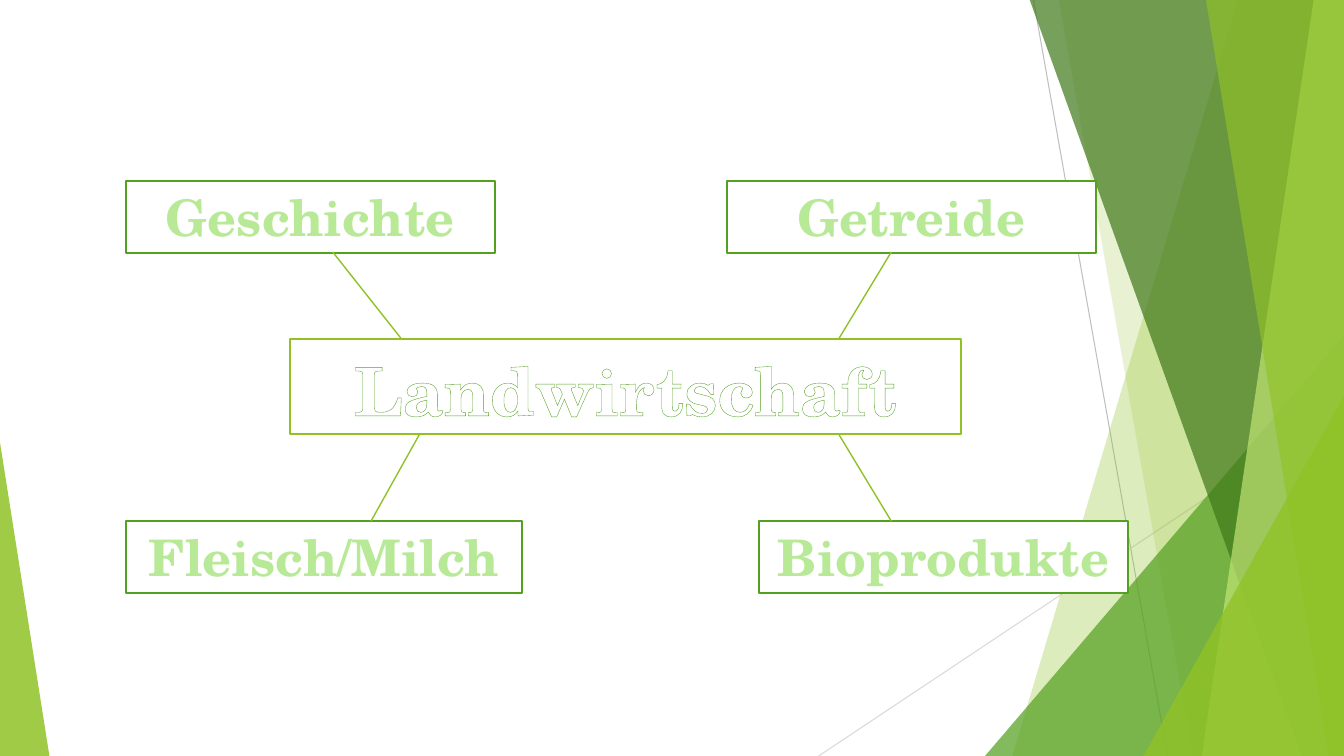
from lxml.etree import SubElement
from pptx import Presentation
from pptx.dml.color import RGBColor
from pptx.enum.shapes import MSO_CONNECTOR, MSO_SHAPE
from pptx.enum.text import MSO_ANCHOR, MSO_AUTO_SIZE, PP_ALIGN
from pptx.oxml import parse_xml
from pptx.oxml.ns import nsdecls, qn
from pptx.util import Inches, Pt


def paint(fill, color, alpha=100):
    fill.solid()
    fill.fore_color.rgb = RGBColor.from_string(color)
    if alpha < 100:
        clr = fill._xPr.find(qn("a:solidFill"))[0]
        SubElement(clr, qn("a:alpha")).set("val", str(alpha * 1000))


def label(sp, text, border, size, color, outline):
    paint(sp.fill, "FFFFFF")
    paint(sp.line.fill, border)
    sp.line.width = Pt(1.5)
    tf = sp.text_frame
    tf.text = text
    tf.word_wrap = True
    p = tf.paragraphs[0]
    p.alignment = PP_ALIGN.CENTER
    r = p.runs[0]
    r.font.name = "TeX Gyre Schola"
    r.font.size = Pt(size)
    r.font.bold = True
    paint(r.font.fill, color)
    r.font._element.insert(0, parse_xml(
        f'<a:ln {nsdecls("a")} w="{Pt(outline)}"><a:solidFill>'
        '<a:srgbClr val="54A021"/></a:solidFill></a:ln>'))


prs = Presentation()
prs.slide_width, prs.slide_height = Inches(13.33), Inches(7.5)
s = prs.slides.add_slide(prs.slide_layouts[5])

thin_lines = [
    (10.25, 0, 11.58, 7.5, "BFBFBF", 0.75),
    (13.33, 4.03, 8.12, 7.5, "D9D9D9", 0.75),
]
branches = [
    (3.3, 2.5, 3.98, 3.36, "90C226", 1),
    (8.32, 3.36, 8.84, 2.5, "90C226", 1),
    (8.32, 4.31, 8.84, 5.17, "90C226", 1),
    (4.16, 4.31, 3.68, 5.17, "90C226", 1),
]
bands = [
    (12.28, 10.04, "90C226", 30),
    (10.5, 11.83, "90C226", 20),
    (9.77, 3.33, 3.56, 4.17, 1, "54A021", 72),
    (10.21, 12.91, "3F7819", 70),
    (13.03, 11.92, "C0E474", 70),
    (11.96, 13.18, "90C226", 65),
    (11.34, 3.93, 1.99, 3.57, 1, "90C226", 80),
    (0, 4.39, 0.49, 3.11, 0, "90C226", 85),
]
topics = [
    ("Geschichte", 1.25, 1.8, 3.66),
    ("Getreide", 7.21, 1.8, 3.66),
    ("Fleisch/Milch", 1.25, 5.17, 3.93),
    ("Bioprodukte", 7.53, 5.17, 3.66),
]

for group in (thin_lines, bands, topics, branches):
    for item in group:
        if group is bands:
            *geometry, color, alpha = item
            if len(geometry) == 2:
                top_x, bottom_x = geometry
                fb = s.shapes.build_freeform(Inches(top_x), Inches(-0.01))
                fb.add_line_segments([(Inches(x), Inches(y)) for x, y in (
                    (13.33, -0.01), (13.33, 7.5), (bottom_x, 7.5))])
                sp = fb.convert_to_shape()
            else:
                *box, apex = geometry
                sp = s.shapes.add_shape(MSO_SHAPE.ISOSCELES_TRIANGLE, *map(Inches, box))
                sp.adjustments[0] = apex
            sp.shadow.inherit = False
            paint(sp.fill, color, alpha)
            sp.line.fill.background()
        elif group is topics:
            text, x, y, w = item
            sp = s.shapes.add_textbox(Inches(x), Inches(y), Inches(w), Inches(0.71))
            label(sp, text, "54A021", 36, "B7E996", 1.75)
            sp.text_frame.auto_size = MSO_AUTO_SIZE.SHAPE_TO_FIT_TEXT
        else:
            *ends, color, width = item
            line = s.shapes.add_connector(MSO_CONNECTOR.STRAIGHT, *map(Inches, ends))
            paint(line.line.fill, color)
            line.line.width = Pt(width)
            SubElement(line._element.spPr, qn("a:effectLst"))

title = s.shapes.title
title.left, title.top = Inches(2.88), Inches(3.36)
title.width, title.height = Inches(6.65), Inches(0.95)
label(title, "Landwirtschaft", "90C226", 48, "FFFFFF", 0.52)
title.text_frame.vertical_anchor = MSO_ANCHOR.BOTTOM
title.text_frame.auto_size = MSO_AUTO_SIZE.NONE

prs.save("out.pptx")
